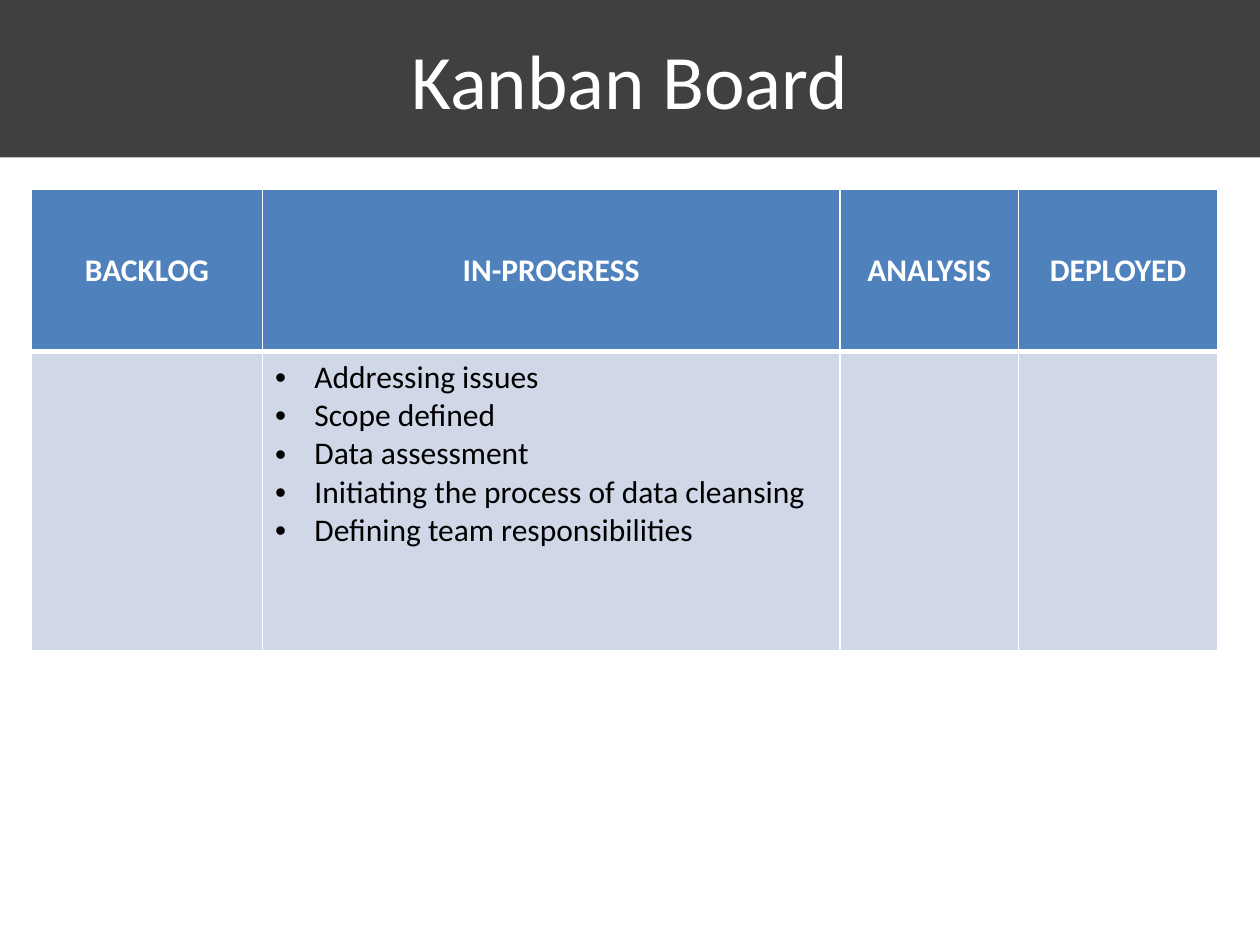
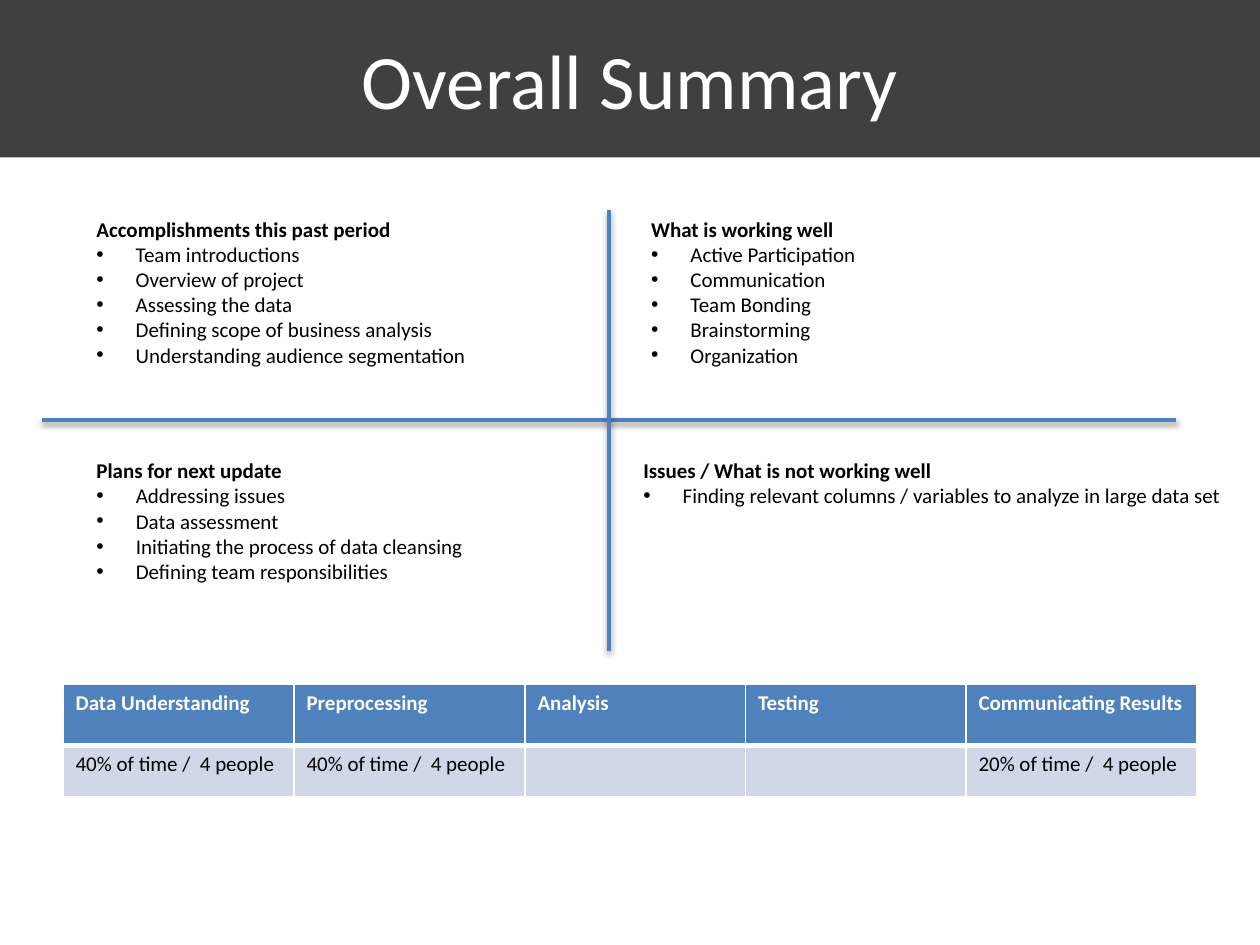
from lxml import etree
from pptx import Presentation
from pptx.dml.color import RGBColor
from pptx.enum.shapes import MSO_CONNECTOR as Line, MSO_SHAPE as Shape
from pptx.enum.text import MSO_ANCHOR as Anchor, MSO_AUTO_SIZE as Fit, PP_ALIGN as Align
from pptx.oxml.ns import qn
from pptx.util import Pt

FONT = "Calibri"
WHITE = RGBColor(0xFF, 0xFF, 0xFF)
BLACK = RGBColor(0, 0, 0)
DARK = RGBColor(0x40, 0x40, 0x40)
BLUE = RGBColor(0x4F, 0x81, 0xBD)
PALE = RGBColor(0xD0, 0xD8, 0xE8)
WIDE, HIGH, BAND = 720, 540, 90
INDENT = 22.5

# Content: each table cell is a list of lines
KANBAN = {
    "at": (18, 108), "size": 18, "cols": (132, 330, 102, 114), "rows": (93, 171),
    "heads": ("BACKLOG", "IN-PROGRESS", "ANALYSIS", "DEPLOYED"),
    "body": ([], ["Addressing issues", "Scope defined", "Data assessment",
                  "Initiating the process of data cleansing",
                  "Defining team responsibilities"], [], []),
    "center": True, "bullets": True,
}
EFFORT = {
    "at": (36, 391), "size": 12, "cols": (132, 132, 126, 126, 132), "rows": (35, 29.5),
    "heads": ("Data Understanding", "Preprocessing", "Analysis", "Testing",
              "Communicating Results"),
    "body": (["40% of time /  4 people"], ["40% of time /  4 people"], [], [],
             ["20% of time /  4 people"]),
    "center": False, "bullets": False,
}
# Quadrants: box, heading, points
QUADS = [
    ((365, 120, 132.5, 94.5), "What is working well",
     ["Active Participation", "Communication", "Team Bonding", "Brainstorming",
      "Organization"]),
    ((48, 120, 227.5, 94.5), "Accomplishments this past period",
     ["Team introductions", "Overview of project", "Assessing the data",
      "Defining scope of business analysis", "Understanding audience segmentation"]),
    ((48, 258, 226, 94.5), "Plans for next update",
     ["Addressing issues", "Data assessment",
      "Initiating the process of data cleansing", "Defining team responsibilities"]),
    ((360.5, 258, 348, 51), "Issues / What is not working well",
     ["Finding relevant columns / variables to analyze in large data set"]),
]
AXES = [(24, 240, 672, 240), (348, 120, 348, 372)]


def write(par, text, size, color, bold=False, bullet=False):
    if bullet:
        props = par._p.get_or_add_pPr()
        props.set("marL", str(Pt(INDENT)))
        props.set("indent", str(-Pt(INDENT)))
        etree.SubElement(props, qn("a:buFont"), typeface="Arial")
        etree.SubElement(props, qn("a:buChar"), char="•")
    run = par.add_run()
    run.text = text
    font = run.font
    font.name, font.size, font.bold = FONT, Pt(size), bold
    font.color.rgb = color


def add_par(frame, index):
    return frame.add_paragraph() if index else frame.paragraphs[0]


def add_page(deck, title):
    page = deck.slides.add_slide(deck.slide_layouts[6])
    band = page.shapes.add_shape(Shape.RECTANGLE, 0, 0, Pt(WIDE), Pt(BAND))
    band.shadow.inherit = False
    band.fill.solid()
    band.fill.fore_color.rgb = DARK
    band.line.fill.background()
    frame = band.text_frame
    frame.vertical_anchor = Anchor.MIDDLE
    frame.paragraphs[0].alignment = Align.CENTER
    write(frame.paragraphs[0], title, 44, WHITE)
    return page


def paint(cell, color, top, base):
    props = cell._tc.get_or_add_tcPr()
    for side, width in (("L", 1), ("R", 1), ("T", top), ("B", base)):
        edge = etree.SubElement(props, qn("a:ln" + side), w=str(Pt(width)))
        fill = etree.SubElement(edge, qn("a:solidFill"))
        etree.SubElement(fill, qn("a:srgbClr"), val=str(WHITE))
    cell.fill.solid()
    cell.fill.fore_color.rgb = color


def add_grid(page, data):
    cols, rows, size = data["cols"], data["rows"], data["size"]
    box = (*data["at"], sum(cols), sum(rows))
    grid = page.shapes.add_table(len(rows), len(cols), *map(Pt, box)).table
    for row, high in zip(grid.rows, rows):
        row.height = Pt(high)
    for col, wide in enumerate(cols):
        grid.columns[col].width = Pt(wide)
        head, body = grid.cell(0, col), grid.cell(1, col)
        paint(head, BLUE, 1, 3)
        paint(body, PALE, 3, 1)
        par = head.text_frame.paragraphs[0]
        if data["center"]:
            head.vertical_anchor = Anchor.MIDDLE
            par.alignment = Align.CENTER
        write(par, data["heads"][col], size, WHITE, bold=True)
        for index, text in enumerate(data["body"][col]):
            write(add_par(body.text_frame, index), text, size, BLACK,
                  bullet=data["bullets"])


def add_quad(page, box, head, points):
    frame = page.shapes.add_textbox(*map(Pt, box)).text_frame
    frame.word_wrap = False
    frame.auto_size = Fit.SHAPE_TO_FIT_TEXT
    for index, text in enumerate([head, *points]):
        write(add_par(frame, index), text, 12, BLACK,
              bold=index == 0, bullet=index > 0)


def add_axis(page, ends):
    # The theme's soft shadow is kept on these lines
    axis = page.shapes.add_connector(Line.STRAIGHT, *map(Pt, ends))
    axis.line.color.rgb = BLUE
    axis.line.width = Pt(2)


def main():
    deck = Presentation()
    deck.slide_width, deck.slide_height = Pt(WIDE), Pt(HIGH)

    # Kanban board
    add_grid(add_page(deck, "Kanban Board"), KANBAN)

    # Summary: effort table, four quadrants, cross
    page = add_page(deck, "Overall Summary")
    add_grid(page, EFFORT)
    for quad in QUADS:
        add_quad(page, *quad)
    for ends in AXES:
        add_axis(page, ends)

    deck.save("out.pptx")


if __name__ == "__main__":
    main()
